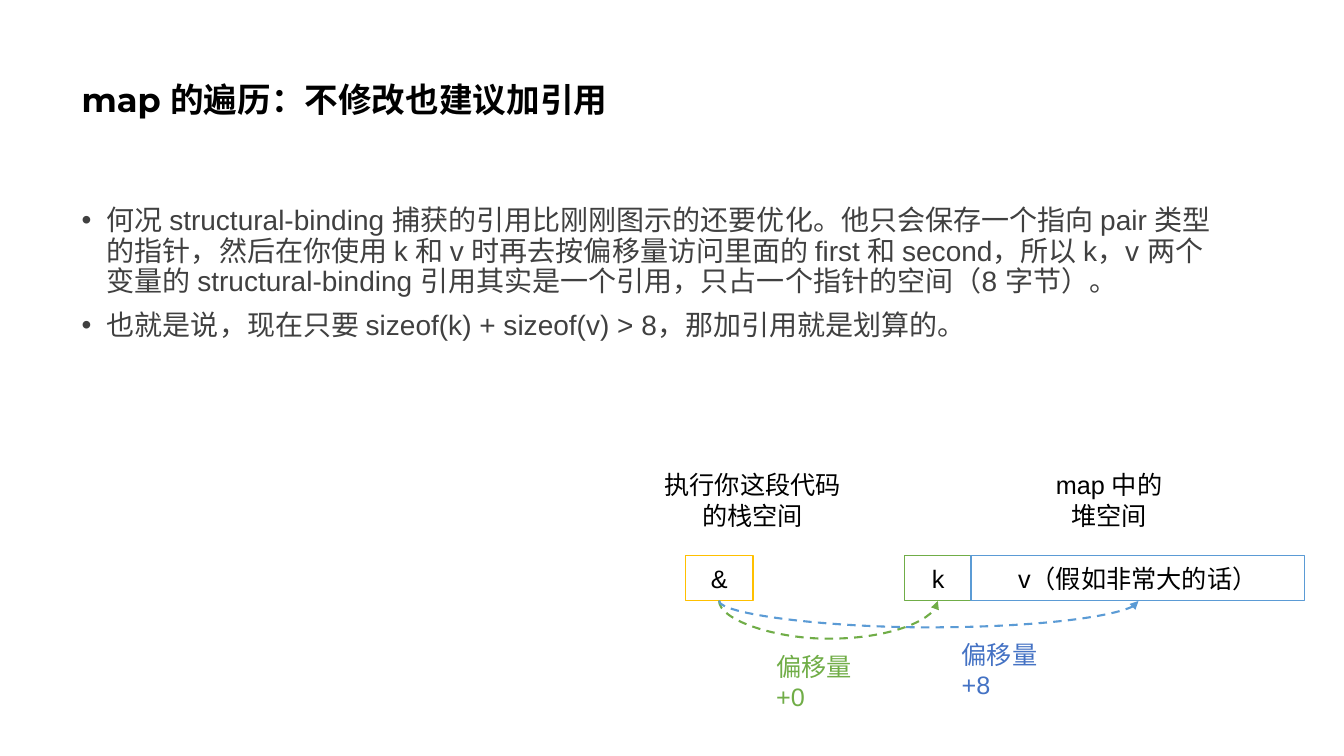
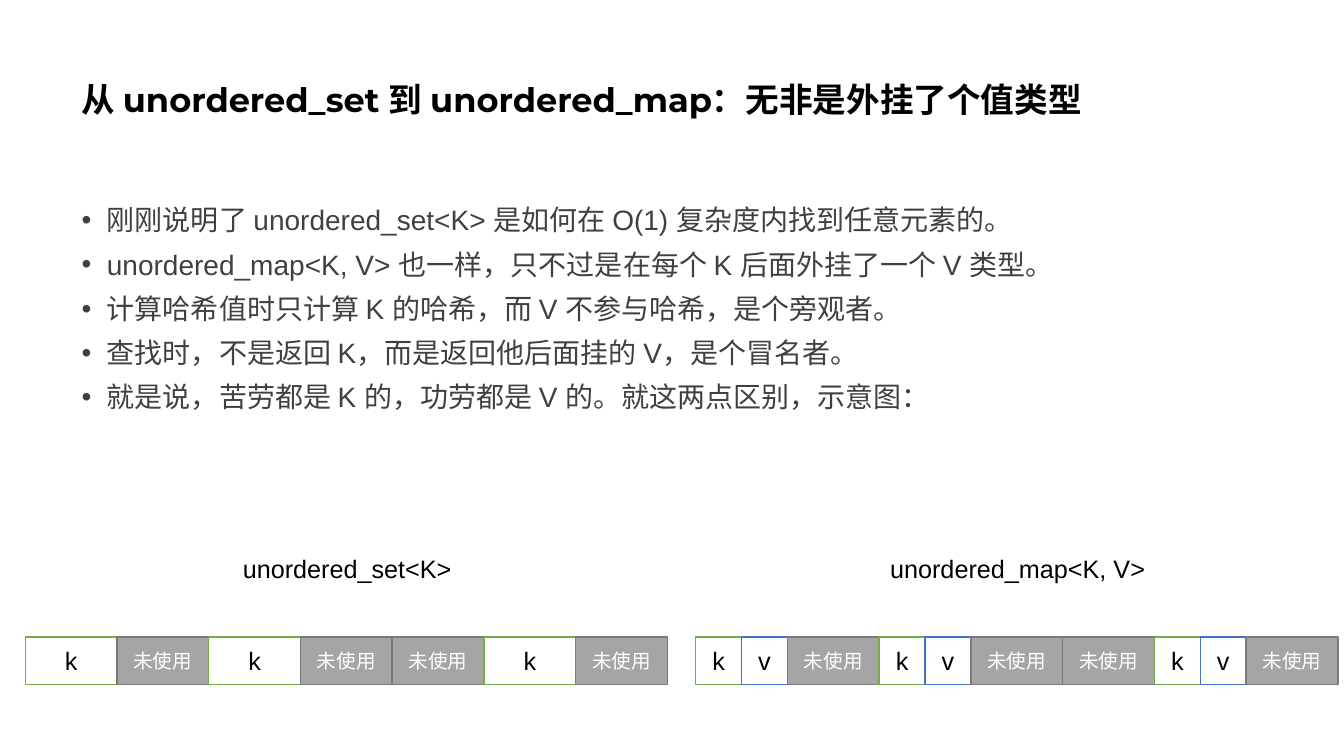
"""Build two slides on map references and unordered_map storage."""
from lxml import etree
from pptx import Presentation
from pptx.dml.color import RGBColor
from pptx.enum import dml, shapes, text
from pptx.oxml.ns import qn
from pptx.util import Emu, Inches, Pt

BLACK, WHITE, BODY = "000000", "FFFFFF", "404040"
GREEN, SKY, BLUE, GOLD = "70AD47", "5B9BD5", "4472C4", "FFC000"
GREY, GREY_EDGE = "A5A5A5", "7A7A7A"
LEFT, CENTER = text.PP_ALIGN.LEFT, text.PP_ALIGN.CENTER
TITLE = {"name": "Montserrat", "size": Pt(24), "bold": True}
LIST = {"name": "Arial", "size": Pt(20)}
LABEL = {"name": "Arial", "size": Pt(18)}
SMALL = {"name": "Arial", "size": Pt(14)}

paint = RGBColor.from_string


def write(box, area, lines, ink, formats, align=LEFT, anchor=text.MSO_ANCHOR.TOP):
    box.left, box.top, box.width, box.height = (Inches(value) for value in area)
    frame = box.text_frame
    settings = {"word_wrap": True, "auto_size": text.MSO_AUTO_SIZE.NONE, "vertical_anchor": anchor}
    for name, value in settings.items():
        setattr(frame, name, value)
    for index, line in enumerate(lines):
        para = frame.add_paragraph() if index else frame.paragraphs[0]
        para.alignment = align
        span = para.add_run()
        span.text = line
        for name, value in formats.items():
            setattr(span.font, name, value)
        span.font.color.rgb = paint(ink)
    return frame.paragraphs


def add_cell(page, area, label, edge, fill=WHITE, ink=BLACK, formats=LABEL):
    box = page.shapes.add_shape(shapes.MSO_SHAPE.RECTANGLE, 0, 0, 0, 0)
    box.shadow.inherit = False
    box.fill.solid()
    box.fill.fore_color.rgb = paint(fill)
    box.line.color.rgb = paint(edge)
    box.line.width = Pt(1)
    write(box, area, [label], ink, formats, CENTER, text.MSO_ANCHOR.MIDDLE)


deck = Presentation()
deck.slide_width, deck.slide_height = Inches(13.33), Inches(7.5)

contents = [
    ("map 的遍历：不修改也建议加引用", [
        "何况 structural-binding 捕获的引用比刚刚图示的还要优化。他只会保存一个指向 pair 类型的指针，"
        "然后在你使用 k 和 v 时再去按偏移量访问里面的 first 和 second，所以 k，v 两个变量的 "
        "structural-binding 引用其实是一个引用，只占一个指针的空间（8 字节）。",
        "也就是说，现在只要 sizeof(k) + sizeof(v) > 8，那加引用就是划算的。",
    ]),
    ("从 unordered_set 到 unordered_map：无非是外挂了个值类型", [
        "刚刚说明了 unordered_set<K> 是如何在 O(1) 复杂度内找到任意元素的。",
        "unordered_map<K, V> 也一样，只不过是在每个 K 后面外挂了一个 V 类型。",
        "计算哈希值时只计算 K 的哈希，而 V 不参与哈希，是个旁观者。",
        "查找时，不是返回 K，而是返回他后面挂的 V，是个冒名者。",
        "就是说，苦劳都是 K 的，功劳都是 V 的。就这两点区别，示意图：",
    ]),
]
for title, bullets in contents:
    page = deck.slides.add_slide(deck.slide_layouts[1])
    heading, body = page.placeholders
    paras = write(heading, (0.71, 0.28, 11.5, 1.45), [title], BLACK, TITLE,
                  anchor=text.MSO_ANCHOR.MIDDLE)
    paras[0].line_spacing = 0.9
    paras = write(body, (0.71, 2, 11.5, 4.76), bullets, BODY, LIST)
    for index, para in enumerate(paras):
        para.line_spacing = 0.9
        para.space_before = Pt(10 if index else 0)
        indents = para._p.get_or_add_pPr()
        indents.set("marL", str(Inches(0.25)))
        indents.set("indent", str(-Inches(0.25)))

reference_page, hash_page = deck.slides

cell_top, cell_height = 5.51, 0.45
for left, width, label, edge in [
    (8.97, 0.67, "k", GREEN),
    (9.63, 3.31, "v（假如非常大的话）", SKY),
    (6.8, 0.67, "&", GOLD),
]:
    add_cell(reference_page, (left, cell_top, width, cell_height), label, edge)

start, base, span_width = 7.13, cell_top + cell_height, Emu(3175)
for end, depth, ink in [(9.3, 0.37, GREEN), (11.29, 0.26, SKY)]:
    arrow = reference_page.shapes.add_connector(shapes.MSO_CONNECTOR.CURVE, 0, 0, 0, 0)
    arrow.left = Inches((start + end) / 2)
    arrow.top = Inches(base - (end - start) / 2)
    arrow.width, arrow.height = span_width, Inches(end - start)
    arrow.line.color.rgb = paint(ink)
    arrow.line.width = Pt(1.5)
    arrow.line.dash_style = dml.MSO_LINE.DASH
    props = arrow._element.spPr
    frame = props.find(qn("a:xfrm"))
    frame.set("rot", "5400000")
    frame.set("flipV", "1")
    guides = props.find(qn("a:prstGeom")).get_or_add_avLst()
    bend = round(Inches(depth) / span_width * 100000)
    etree.SubElement(guides, qn("a:gd"), name="adj1", fmla=f"val {bend}")
    etree.SubElement(props.find(qn("a:ln")), qn("a:tailEnd"), type="triangle")
    etree.SubElement(props, qn("a:effectLst"))

for page, area, lines, ink, align in [
    (reference_page, (6.44, 4.61, 2.05, 0.71), ["执行你这段代码", "的栈空间"], BLACK, CENTER),
    (reference_page, (10.37, 4.61, 1.26, 0.71), ["map 中的", "堆空间"], BLACK, CENTER),
    (reference_page, (9.44, 6.29, 1.23, 0.4), ["偏移量+8"], BLUE, LEFT),
    (reference_page, (7.6, 6.41, 1.23, 0.4), ["偏移量+0"], GREEN, LEFT),
    (hash_page, (2.31, 5.44, 2.5, 0.4), ["unordered_set<K>"], BLACK, LEFT),
    (hash_page, (8.73, 5.44, 3, 0.4), ["unordered_map<K, V>"], BLACK, LEFT),
]:
    write(page.shapes.add_textbox(0, 0, 0, 0), area, lines, ink, LABEL, align)

bucket_top, bucket_width, bucket_height = 6.32, 0.91, 0.47
edges = {"k": GREEN, "v": BLUE}
for row_left, buckets in [
    (0.25, ["k", "", "k", "", "", "k", ""]),
    (6.9, ["kv", "", "kv", "", "", "kv", ""]),
]:
    for index, bucket in enumerate(buckets):
        left = row_left + index * bucket_width
        if not bucket:
            area = (left, bucket_top, bucket_width, bucket_height)
            add_cell(hash_page, area, "未使用", GREY_EDGE, GREY, WHITE, SMALL)
        for slot, label in enumerate(bucket):
            width = bucket_width / len(bucket)
            area = (left + slot * width, bucket_top, width, bucket_height)
            add_cell(hash_page, area, label, edges[label])

deck.save("out.pptx")
